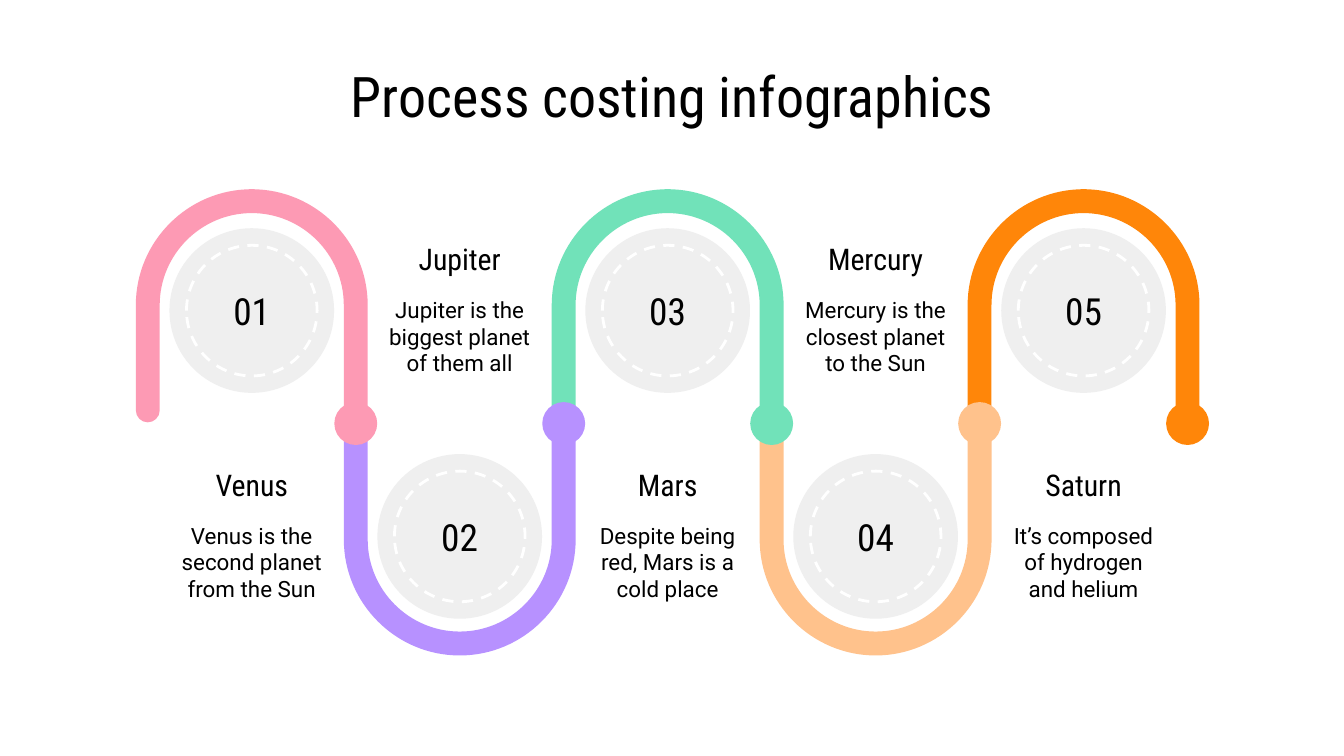
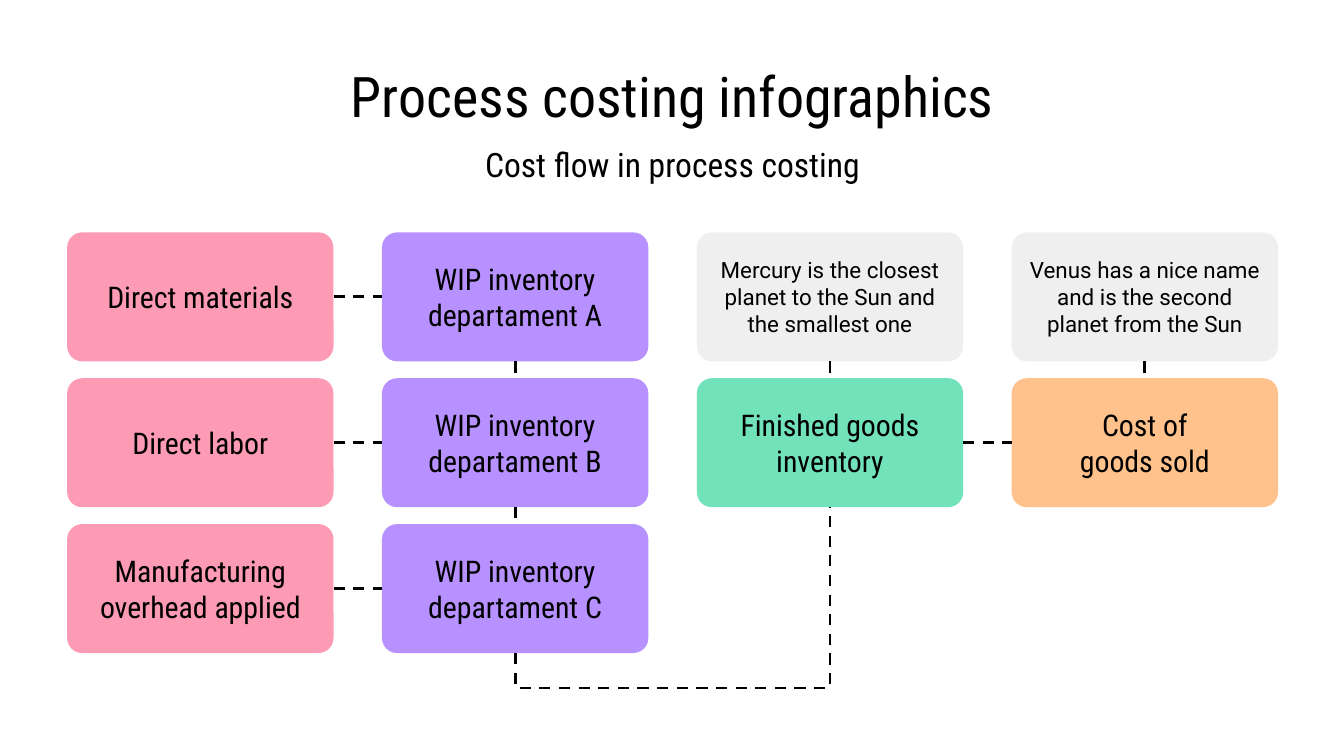
import collections
import itertools

import pptx
import pptx.dml.color
import pptx.enum.dml
import pptx.enum.shapes
import pptx.enum.text
import pptx.oxml
import pptx.oxml.ns
import pptx.util

Pt = pptx.util.Pt
Shape = pptx.enum.shapes.MSO_SHAPE
Link = pptx.enum.shapes.MSO_CONNECTOR
Anchor = pptx.enum.text.MSO_ANCHOR
Box = collections.namedtuple("Box", "left top width height")
Stage = collections.namedtuple("Stage", "name text color")


class Theme:
    ink = "000000"
    white = "FFFFFF"
    gray = "EFEFEF"
    pink = "FD9AB4"
    purple = "B791FF"
    green = "71E2B9"
    peach = "FFC28C"
    orange = "FF8609"
    head = "Roboto Condensed"
    body = "Roboto"
    title = 30
    number = 20
    lead = 18
    label = 16
    small = 12
    stroke = 1.5


STAGES = [
    Stage("Venus", "Venus is the second planet from the Sun", Theme.pink),
    Stage("Jupiter", "Jupiter is the biggest planet of them all", Theme.purple),
    Stage("Mars", "Despite being red, Mars is a cold place", Theme.green),
    Stage("Mercury", "Mercury is the closest planet to the Sun", Theme.peach),
    Stage("Saturn", "It’s composed of hydrogen and helium", Theme.orange),
]

# (column, row): text, fill
CARDS = {
    (0, 0): ("Direct materials", Theme.pink),
    (0, 1): ("Direct labor", Theme.pink),
    (0, 2): ("Manufacturing overhead applied", Theme.pink),
    (1, 0): ("WIP inventory departament A", Theme.purple),
    (1, 1): ("WIP inventory departament B", Theme.purple),
    (1, 2): ("WIP inventory departament C", Theme.purple),
    (2, 0): ("Mercury is the closest planet to the Sun and the smallest one", Theme.gray),
    (2, 1): ("Finished goods inventory", Theme.green),
    (3, 0): ("Venus has a nice name and is the second planet from the Sun", Theme.gray),
    (3, 1): ("Cost of\ngoods sold", Theme.peach),
}
ACROSS = [(0, 0), (0, 1), (0, 2), (2, 1)]
DOWN = [(1, 0), (1, 1), (2, 0), (3, 0)]


def rgb(code):
    return pptx.dml.color.RGBColor.from_string(code)


def points(box):
    return [Pt(value) for value in box]


def round_box(x, y, size):
    """Square box of the given size centred on x, y."""
    return Box(x - size / 2, y - size / 2, size, size)


def write(shape, text, size, face=Theme.head, anchor=Anchor.MIDDLE):
    frame = shape.text_frame
    frame.word_wrap = True
    frame.vertical_anchor = anchor
    frame.margin_left = frame.margin_right = Pt(7.2)
    frame.margin_top = frame.margin_bottom = Pt(7.2)
    frame.text = text
    for line in frame.paragraphs:
        line.alignment = pptx.enum.text.PP_ALIGN.CENTER
        line.font.name = face
        line.font.size = Pt(size)
        line.font.color.rgb = rgb(Theme.ink)


def add_text(shapes, box, *style):
    write(shapes.add_textbox(*points(box)), *style)


def paint(shape, color):
    shape.shadow.inherit = False
    shape.fill.solid()
    shape.fill.fore_color.rgb = rgb(color)
    shape.line.fill.background()


def dash(line, color):
    line.color.rgb = rgb(color)
    line.width = Pt(Theme.stroke)
    line.dash_style = pptx.enum.dml.MSO_LINE.DASH


def add_disc(shapes, box, color):
    paint(shapes.add_shape(Shape.OVAL, *points(box)), color)


def add_title(slide):
    add_text(slide.shapes, Box(36, 32.4, 648.7, 37.4),
             "Process costing infographics", Theme.title)


def bend(start, corner, end):
    """Two control points and the end of a quarter circle around a corner."""
    def pull(point):
        return tuple(p + 0.55 * (c - p) for p, c in zip(point, corner))
    return [pull(start), pull(end), end]


def trace(shapes, start, steps):
    """Freeform whose steps hold one point for a line, three for a curve."""
    outline = shapes.build_freeform(*start, scale=1)
    outline.add_line_segments(itertools.chain(*steps), close=True)
    shape = outline.convert_to_shape()
    lines = iter(list(shape._element.iter(pptx.oxml.ns.qn("a:lnTo"))))
    for step in steps:
        first, *rest = itertools.islice(lines, len(step))
        if rest:
            curve = pptx.oxml.parse_xml(
                f"<a:cubicBezTo {pptx.oxml.ns.nsdecls('a')}/>")
            first.addprevious(curve)
            for line in (first, *rest):
                curve.append(line[0])
                line.getparent().remove(line)
    return shape


def add_arch(shapes, box, band, color, upright, capped):
    """U-shaped band; upright opens downwards, capped rounds the left foot."""
    width, foot = box.width, box.height
    mid, cap, inner = width / 2, band / 2, width - band
    steps = [
        [(0, mid)],
        bend((0, mid), (0, 0), (mid, 0)),
        bend((mid, 0), (width, 0), (width, mid)),
        [(width, foot)],
        [(inner, foot)],
        [(inner, mid)],
        bend((inner, mid), (inner, band), (mid, band)),
        bend((mid, band), (band, band), (band, mid)),
    ]
    start = (0, foot - cap) if capped else (0, foot)
    if capped:
        steps += [
            [(band, foot - cap)],
            bend((band, foot - cap), (band, foot), (cap, foot)),
            bend((cap, foot), (0, foot), start),
        ]
    else:
        steps.append([(band, foot)])

    def place(point):
        x, y = point
        return Pt(box.left + x), Pt(box.top + (y if upright else foot - y))

    paint(trace(shapes, place(start), [[place(p) for p in s] for s in steps]), color)


def add_road(slide, box, band):
    """Draw the winding road and return the centre x of each arch."""
    shapes = slide.shapes.add_group_shape().shapes
    wide = (box.width + band * (len(STAGES) - 1)) / len(STAGES)
    half = box.height / 2
    lefts = [box.left + i * (wide - band) for i in range(len(STAGES))]
    for i, (left, stage) in enumerate(zip(lefts, STAGES)):
        arch = Box(left, box.top + i % 2 * half, wide, half)
        add_arch(shapes, arch, band, stage.color, i % 2 == 0, i == 0)
    for left, stage in zip(lefts, STAGES):
        joint = round_box(left + wide - band / 2, box.top + half + 0.6, 23)
        add_disc(shapes, joint, stage.color)
    return [left + wide / 2 for left in lefts]


def add_stage(slide, box, number, stage, upright):
    """Numbered disc in the arch, its text in the other half of the box."""
    shapes = slide.shapes.add_group_shape().shapes
    x = box.left + box.width / 2
    disc_y = box.top + (65 if upright else 186)
    text_y = box.top + (145.1 if upright else 24.1)
    add_disc(shapes, round_box(x, disc_y, 88.2), Theme.gray)
    ring = shapes.add_shape(Shape.OVAL, *points(round_box(x, disc_y, 70)))
    ring.shadow.inherit = False
    ring.fill.background()
    dash(ring.line, Theme.white)
    write(ring, f"{number:02}", Theme.number)
    add_text(shapes, Box(box.left, text_y, box.width, 25.8), stage.name, Theme.label)
    add_text(shapes, Box(box.left, text_y + 25.8, box.width, 56), stage.text,
             Theme.small, Theme.body, Anchor.TOP)


def build_road(slide):
    add_title(slide)
    road = Box(72.8, 101.4, 569.8, 249.8)
    for i, (x, stage) in enumerate(zip(add_road(slide, road, 12.8), STAGES)):
        cell = Box(x - 45.7, road.top, 91.4, road.height)
        add_stage(slide, cell, i + 1, stage, i % 2 == 0)


def add_card(slide, box, text, color):
    card = slide.shapes.add_shape(Shape.ROUNDED_RECTANGLE, *points(box))
    card.adjustments[0] = 0.117
    paint(card, color)
    style = (Theme.small, Theme.body) if color == Theme.gray else (Theme.label,)
    write(card, text, *style)
    return card


def add_link(slide, kind, *ends):
    link = slide.shapes.add_connector(kind, *ends)
    dash(link.line, Theme.ink)
    link._element.spPr.append(pptx.oxml.parse_xml(
        f"<a:effectLst {pptx.oxml.ns.nsdecls('a')}/>"))
    return link


def join(slide, first, side, second, other):
    link = add_link(slide, Link.STRAIGHT, 0, 0, 0, 0)
    link.begin_connect(first, side)
    link.end_connect(second, other)


def add_elbow(slide, start, end, drop):
    """Elbow from the foot of one card, down by drop, up to another's foot."""
    x1, y1 = start.left + start.width // 2, start.top + start.height
    x2, y2 = end.left + end.width // 2, end.top + end.height
    rise, run = y1 - y2, x2 - x1
    left, top = (x1 + x2 - rise) // 2, (y1 + y2 - run) // 2
    link = add_link(slide, Link.ELBOW, left, top, left + rise, top + run)
    props = link._element.spPr
    props.find(pptx.oxml.ns.qn("a:xfrm")).set("rot", str(270 * 60000))
    guides = props.find(pptx.oxml.ns.qn("a:prstGeom")).get_or_add_avLst()
    ratio = round(-100000 * Pt(drop) / rise)
    guides.append(pptx.oxml.parse_xml(
        f'<a:gd {pptx.oxml.ns.nsdecls("a")} name="adj1" fmla="val {ratio}"/>'))


def add_flow(slide, box):
    wide, high = 142.7, 69.1
    step_x = (box.width - wide) / 3
    step_y = (box.height - high) / 2
    cards = {
        (col, row): add_card(
            slide, Box(box.left + col * step_x, box.top + row * step_y, wide, high),
            text, color)
        for (col, row), (text, color) in CARDS.items()
    }
    for col, row in ACROSS:
        join(slide, cards[col, row], 3, cards[col + 1, row], 1)
    for col, row in DOWN:
        join(slide, cards[col, row], 2, cards[col, row + 1], 0)
    add_elbow(slide, cards[1, 2], cards[2, 1], 18.7)


def build_flow(slide):
    add_title(slide)
    add_text(slide.shapes, Box(36, 74.5, 648.7, 26.6),
             "Cost flow in process costing", Theme.lead)
    add_flow(slide, Box(36, 124.5, 648.7, 225.4))


def main():
    deck = pptx.Presentation()
    deck.slide_width, deck.slide_height = Pt(720), Pt(405)
    for build in (build_road, build_flow):
        build(deck.slides.add_slide(deck.slide_layouts[6]))
    deck.save("out.pptx")


if __name__ == "__main__":
    main()
